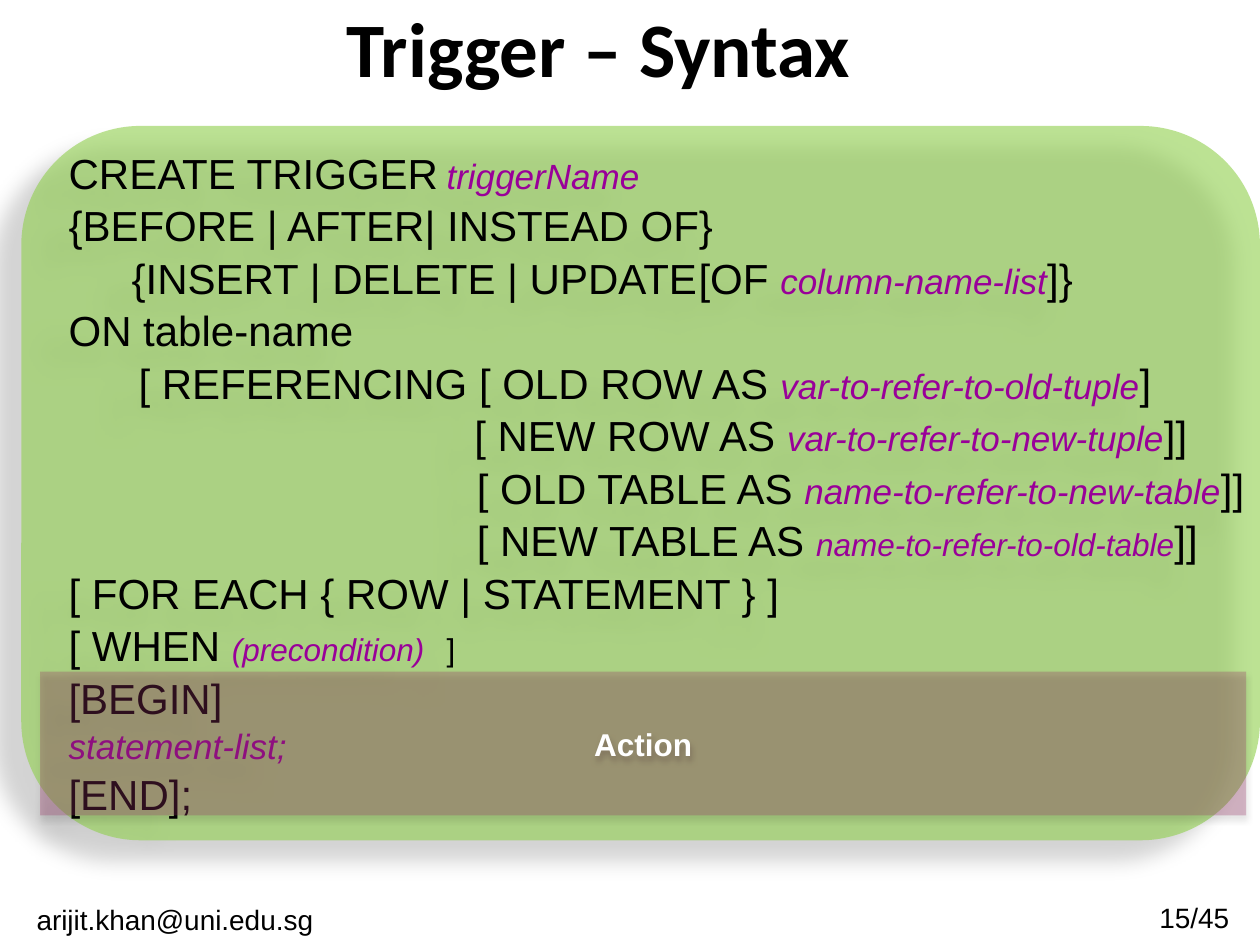
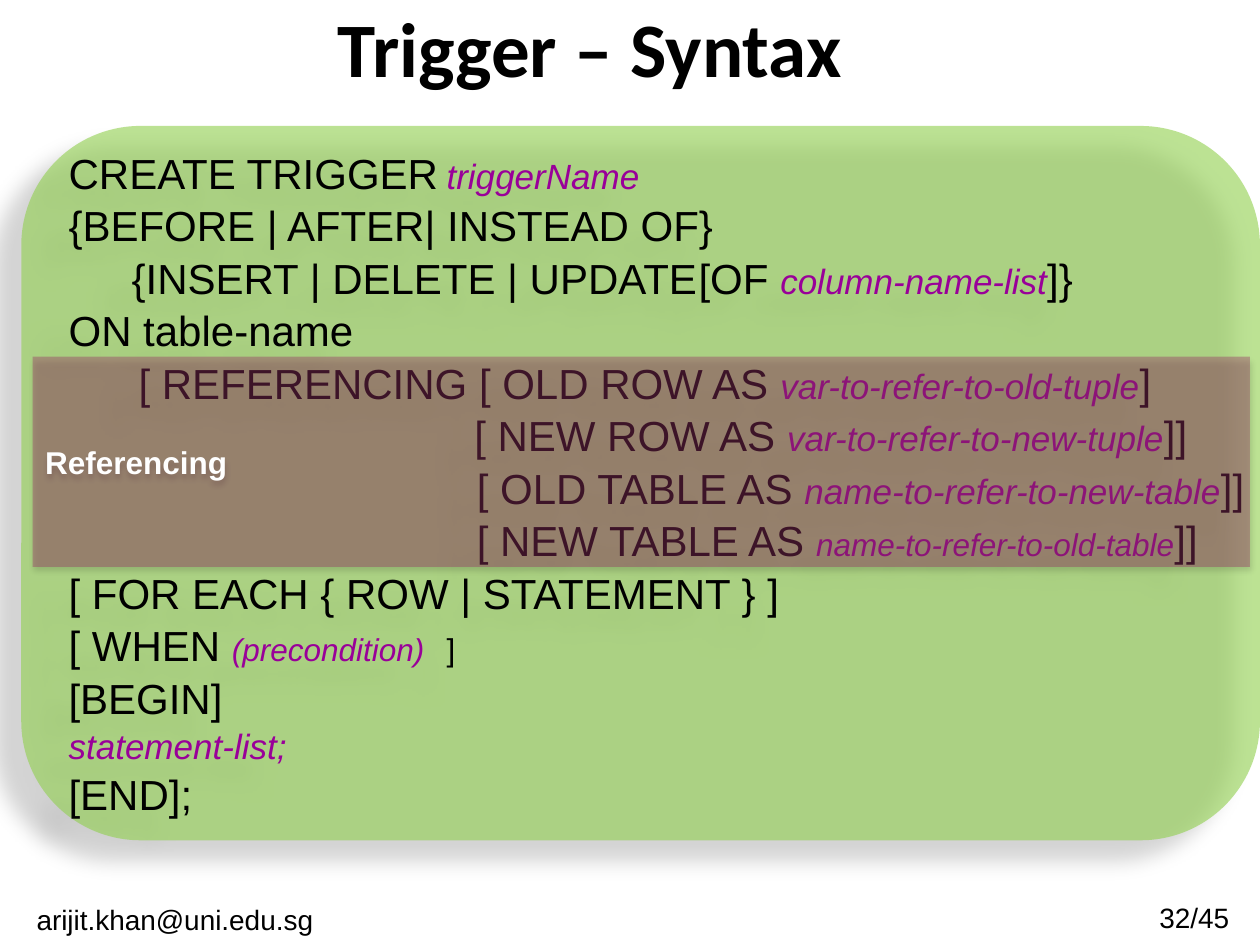
"""Build two slides on SQL trigger syntax, each highlighting one clause."""
from typing import NamedTuple

from lxml.etree import SubElement
from pptx import Presentation
from pptx.dml.color import RGBColor
from pptx.enum.shapes import MSO_SHAPE
from pptx.enum.text import MSO_ANCHOR, PP_ALIGN
from pptx.oxml.ns import qn
from pptx.util import Cm, Pt

BLACK, WHITE = "000000", "FFFFFF"
GREEN, PLUM, PURPLE = "92D050", "993366", "990099"
BODY_FONT, TITLE_FONT = "Arial", "Calibri"
EMAIL = "arijit.khan@uni.edu.sg "
PAGE_COUNT = 45


class Box(NamedTuple):
    """A rectangle in centimetres."""
    left: float
    top: float
    width: float
    height: float


class Style(NamedTuple):
    """Look of a piece of text."""
    size: int
    color: str = BLACK
    bold: bool = False
    italic: bool = False
    font: str = BODY_FONT


class Shadow(NamedTuple):
    """Outer shadow: opacity in percent, lengths in points, angle in degrees."""
    opacity: int
    blur: float
    distance: float
    angle: int


class Piece(NamedTuple):
    """A stretch of text in one style."""
    text: str
    style: Style


class Line(NamedTuple):
    """A line of syntax with its indent and tab stops in centimetres."""
    pieces: tuple[Piece, ...]
    indent: float = 0
    tabs: tuple[float, ...] = ()


class Highlight(NamedTuple):
    """A translucent band that names one clause."""
    label: str
    box: Box
    opacity: int
    alignment: PP_ALIGN


class TriggerSlide(NamedTuple):
    """What differs from one slide to the next."""
    title: str
    page: int
    highlight: Highlight


TITLE_STYLE = Style(44, bold=True, font=TITLE_FONT)
FOOTER_STYLE = Style(16)
LABEL_STYLE = Style(18, WHITE, bold=True)
KEYWORD = Style(24)

TITLE_BOX = Box(0.64, 0, 22.86, 1.9)
PAGE_BOX = Box(22.68, 18.03, 2.95, 0.99)
EMAIL_BOX = Box(0.2, 18.06, 6.81, 0.99)
PANEL_BOX = Box(0.43, 2.54, 24.97, 14.4)
PANEL_SHADOW = Shadow(28, 11.8, 19.7, 141)
HIGHLIGHT_SHADOW = Shadow(32, 3.5, 2.2, 90)
STEP_INDENT, ROW_INDENT, TABLE_INDENT = 1.41, 8.18, 8.23


def keyword(text: str) -> Piece:
    """Return fixed syntax."""
    return Piece(text, KEYWORD)


def variable(text: str, size: int = 20) -> Piece:
    """Return a name that the user fills in."""
    return Piece(text, Style(size, PURPLE, italic=True))


def clause(before: str, name: str, after: str, indent: float, size: int = 20) -> Line:
    """Return a line with a user name between two bits of syntax."""
    return Line((keyword(before), variable(name, size), keyword(after)), indent)


def plain(text: str) -> Line:
    """Return a line of fixed syntax only."""
    return Line((keyword(text),))


SYNTAX = (
    Line((keyword("CREATE TRIGGER\t"), variable("triggerName")), tabs=(12.7,)),
    plain("{BEFORE | AFTER| INSTEAD OF}"),
    Line((keyword("\t{INSERT | DELETE | UPDATE\t[OF "), variable("column-name-list"),
          keyword("]}")), tabs=(STEP_INDENT, 13.27)),
    plain("ON table-name"),
    clause("[ REFERENCING [ OLD ROW AS ", "var-to-refer-to-old-tuple", "]", STEP_INDENT),
    clause("[ NEW ROW AS ", "var-to-refer-to-new-tuple", "]]", ROW_INDENT),
    clause("[ OLD TABLE AS ", "name-to-refer-to-new-table", "]]", TABLE_INDENT),
    clause("[ NEW TABLE AS ", "name-to-refer-to-old-table", "]]", TABLE_INDENT, 18),
    plain("[ FOR EACH { ROW | STATEMENT } ]"),
    Line((keyword("[ WHEN "), variable("(precondition)", 18), Piece("\t]", Style(18))),
         tabs=(7.8,)),
    plain("[BEGIN]"),
    Line((variable("statement-list;"),)),
    plain("[END];"),
)

SLIDES = (
    TriggerSlide("Trigger – Syntax", 15, Highlight(
        "Action", Box(0.81, 13.54, 24.31, 2.9), 30, PP_ALIGN.CENTER)),
    TriggerSlide("Trigger – Syntax ", 32, Highlight(
        "Referencing", Box(0.66, 7.19, 24.54, 4.24), 40, PP_ALIGN.LEFT)),
)


def rgb(color: str) -> RGBColor:
    """Turn a hex string into a colour."""
    return RGBColor.from_string(color)


def place(box: Box) -> tuple[Cm, ...]:
    """Return the box as lengths."""
    return tuple(Cm(value) for value in box)


def format_run(run, style: Style) -> None:
    """Apply a style to a run."""
    run.font.name = style.font
    run.font.size = Pt(style.size)
    run.font.bold = style.bold
    run.font.italic = style.italic
    run.font.color.rgb = rgb(style.color)


def write(text_frame, text: str, style: Style, alignment: PP_ALIGN) -> None:
    """Fill a frame with one styled paragraph."""
    text_frame.text = text
    paragraph = text_frame.paragraphs[0]
    paragraph.alignment = alignment
    format_run(paragraph.runs[0], style)


def add_text(slide, box: Box, text: str, style: Style,
             anchor: MSO_ANCHOR = MSO_ANCHOR.TOP) -> None:
    """Add a centred text box."""
    text_frame = slide.shapes.add_textbox(*place(box)).text_frame
    text_frame.word_wrap = True
    text_frame.vertical_anchor = anchor
    write(text_frame, text, style, PP_ALIGN.CENTER)


def set_opacity(color_element, percent: int) -> None:
    """Make a colour element translucent."""
    SubElement(color_element, qn("a:alpha"), val=str(percent * 1000))


def add_panel(slide, kind: MSO_SHAPE, box: Box, color: str, opacity: int, shadow: Shadow):
    """Add a translucent shape with an outer shadow and no outline."""
    shape = slide.shapes.add_shape(kind, *place(box))
    shape.fill.solid()
    shape.fill.fore_color.rgb = rgb(color)
    shape.line.fill.background()
    shape.shadow.inherit = False
    properties = shape._element.spPr
    set_opacity(properties.find(f"{qn('a:solidFill')}/{qn('a:srgbClr')}"), opacity)
    outer = SubElement(properties.find(qn("a:effectLst")), qn("a:outerShdw"),
                       blurRad=str(int(Pt(shadow.blur))),
                       dist=str(int(Pt(shadow.distance))),
                       dir=str(shadow.angle * 60000), algn="ctr", rotWithShape="0")
    set_opacity(SubElement(outer, qn("a:srgbClr"), val=BLACK), shadow.opacity)
    shape.text_frame.word_wrap = False
    shape.text_frame.vertical_anchor = MSO_ANCHOR.MIDDLE
    return shape


def write_line(paragraph, line: Line) -> None:
    """Write one line of syntax into a paragraph."""
    paragraph.alignment = PP_ALIGN.LEFT
    paragraph.space_before = Pt(1.2)
    properties = paragraph._p.get_or_add_pPr()
    properties.set("marL", str(int(Cm(line.indent))))
    properties.set("indent", "0")
    if line.tabs:
        tab_list = SubElement(properties, qn("a:tabLst"))
        for position in line.tabs:
            SubElement(tab_list, qn("a:tab"), pos=str(int(Cm(position))), algn="l")
    for piece in line.pieces:
        run = paragraph.add_run()
        run.text = piece.text
        format_run(run, piece.style)


def add_syntax(slide) -> None:
    """Add the green panel with the full trigger syntax."""
    panel = add_panel(slide, MSO_SHAPE.ROUNDED_RECTANGLE, PANEL_BOX, GREEN, 61, PANEL_SHADOW)
    panel.adjustments[0] = 0.167
    text_frame = panel.text_frame
    for number, line in enumerate(SYNTAX):
        write_line(text_frame.add_paragraph() if number else text_frame.paragraphs[0], line)


def add_highlight(slide, highlight: Highlight) -> None:
    """Add the labelled band over one clause."""
    band = add_panel(slide, MSO_SHAPE.RECTANGLE, highlight.box, PLUM,
                     highlight.opacity, HIGHLIGHT_SHADOW)
    write(band.text_frame, highlight.label, LABEL_STYLE, highlight.alignment)


def add_trigger_slide(presentation, content: TriggerSlide) -> None:
    """Add one complete slide."""
    slide = presentation.slides.add_slide(presentation.slide_layouts[6])
    add_text(slide, TITLE_BOX, content.title, TITLE_STYLE, MSO_ANCHOR.MIDDLE)
    add_text(slide, PAGE_BOX, f"{content.page}/{PAGE_COUNT} ", FOOTER_STYLE)
    add_text(slide, EMAIL_BOX, EMAIL, FOOTER_STYLE)
    add_syntax(slide)
    add_highlight(slide, content.highlight)


def main() -> None:
    """Build and save the presentation."""
    presentation = Presentation()
    presentation.slide_width = Cm(25.4)
    presentation.slide_height = Cm(19.05)
    for content in SLIDES:
        add_trigger_slide(presentation, content)
    presentation.save("out.pptx")


main()
